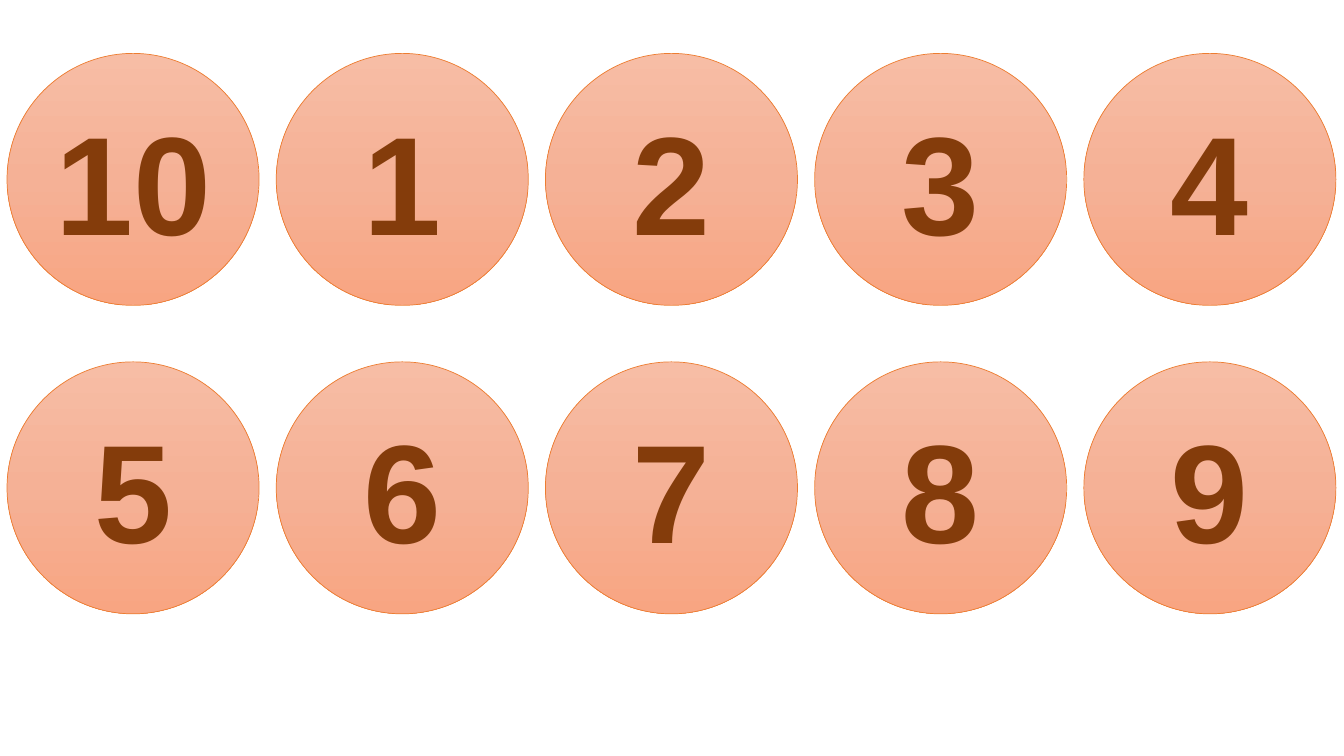
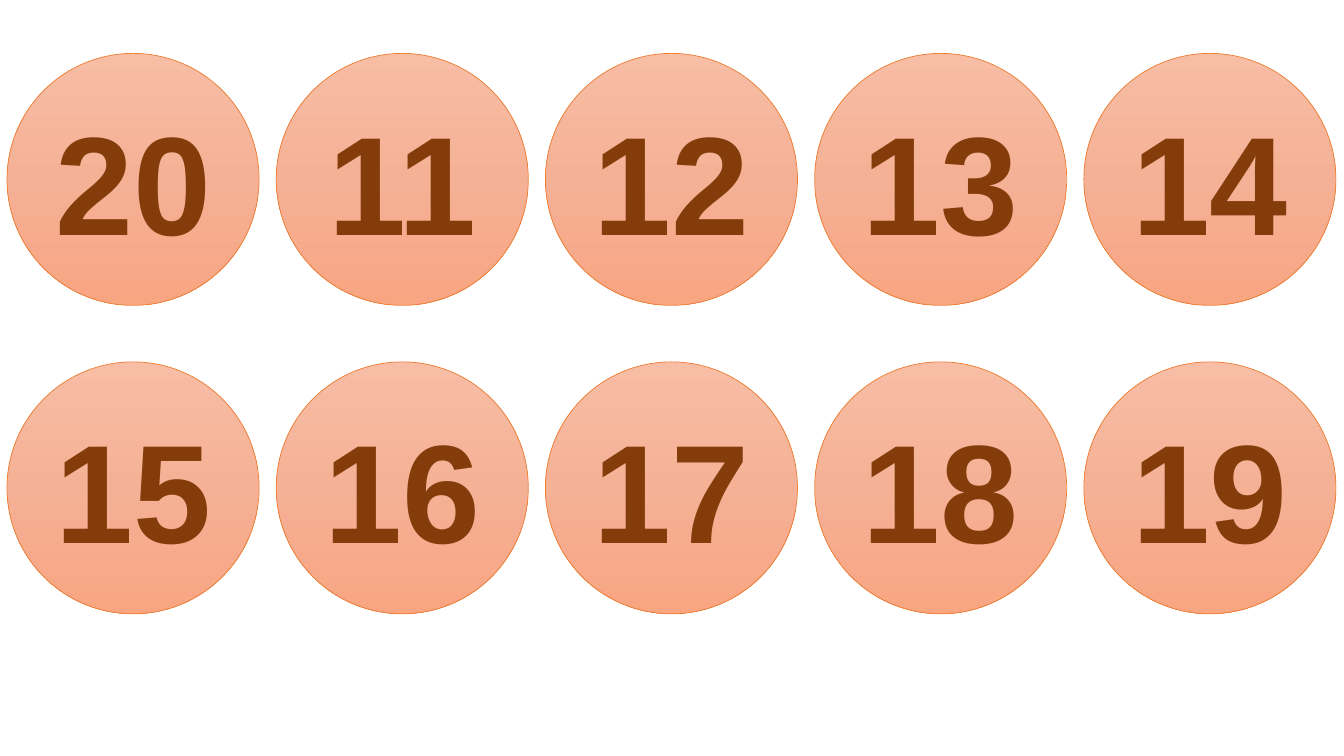
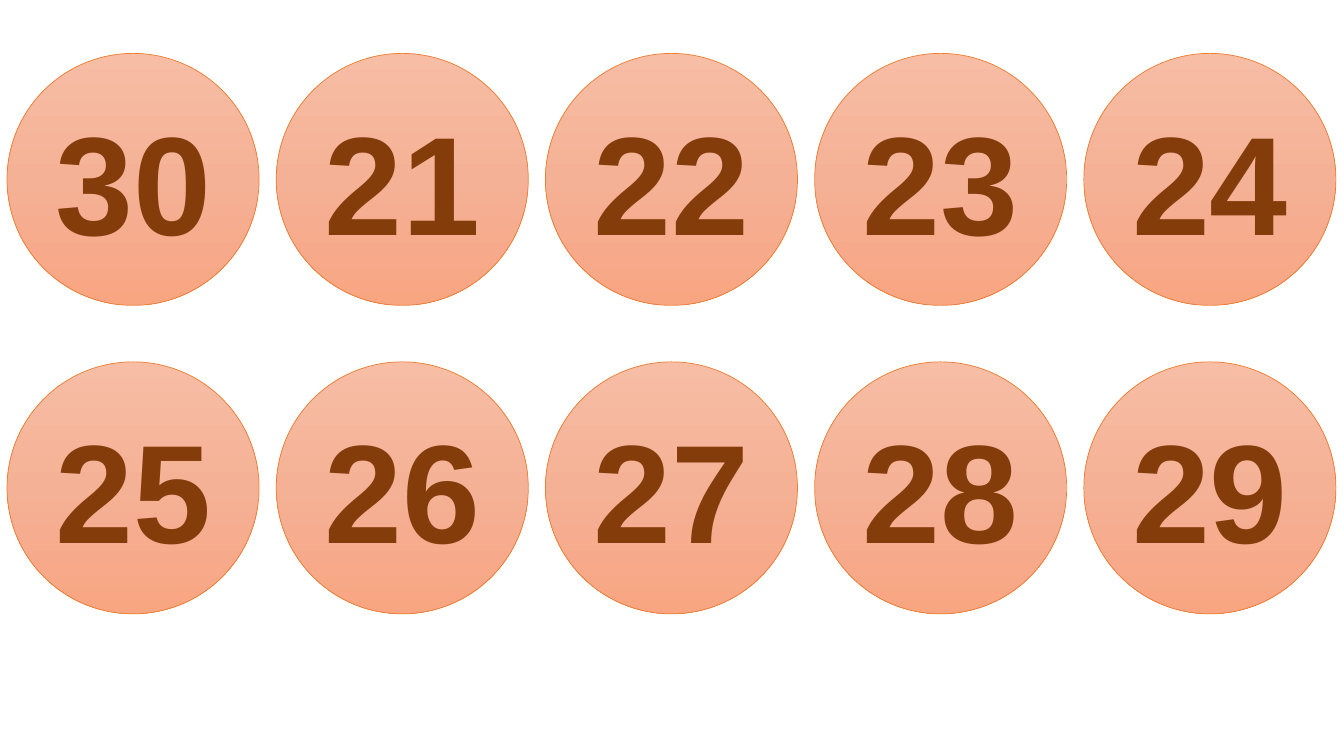
from copy import deepcopy
from dataclasses import dataclass

from pptx import Presentation
from pptx.dml.color import RGBColor
from pptx.enum.shapes import MSO_SHAPE
from pptx.enum.text import MSO_ANCHOR, PP_ALIGN
from pptx.util import Inches, Pt

COLUMNS = 5
LEFT, TOP = 0.07, 0.53
COLUMN_STEP, ROW_STEP = 2.67, 3.06
DIAMETER = 2.5
NUMBERS_PER_SLIDE = 10
SLIDE_COUNT = 3


@dataclass(frozen=True)
class Theme:
    """Colours, font and sizes shared by all slides."""
    background: str = "FFFFFF"
    gradient: tuple = ((0, "F7BDA5"), (0.5, "F5B196"), (1, "F8A582"))
    outline: str = "ED7D31"
    outline_width: float = 0.5
    number: str = "843C0B"
    number_size: int = 100
    font: str = "Arial"


def write_text(frame, text, *, font, size, color, bold=False,
               align=PP_ALIGN.CENTER, anchor=MSO_ANCHOR.MIDDLE):
    """Write one formatted paragraph into a text frame."""
    frame.word_wrap = True
    frame.vertical_anchor = anchor
    paragraph = frame.paragraphs[0]
    paragraph.alignment = align
    run = paragraph.add_run()
    run.text = text
    run.font.name = font
    run.font.size = Pt(size)
    run.font.bold = bold
    run.font.color.rgb = RGBColor.from_string(color)


def fill_gradient(shape, colors):
    """Fill a shape from top to bottom with (position, colour) stops."""
    shape.fill.gradient()
    shape.fill.gradient_angle = 270
    stop_list = shape.element.spPr.xpath("a:gradFill/a:gsLst")[0]
    while len(stop_list) < len(colors):
        stop_list.append(deepcopy(stop_list[0]))
    for stop, (position, color) in zip(shape.fill.gradient_stops, colors):
        stop.position = position
        stop.color.rgb = RGBColor.from_string(color)


class Deck:
    """Holds the presentation, its theme and the current slide."""

    def __init__(self, theme):
        """Start an empty widescreen presentation."""
        self.theme = theme
        self.presentation = Presentation()
        self.presentation.slide_width = Inches(13.33)
        self.presentation.slide_height = Inches(7.5)
        self.slide = None

    def new_slide(self):
        """Add a blank slide with the theme background."""
        blank = self.presentation.slide_layouts[6]
        self.slide = self.presentation.slides.add_slide(blank)
        background = self.slide.background.fill
        background.solid()
        background.fore_color.rgb = RGBColor.from_string(self.theme.background)

    def number_disc(self, number, left, top):
        """Draw a gradient disc with a number in its centre."""
        theme = self.theme
        disc = self.slide.shapes.add_shape(
            MSO_SHAPE.OVAL, Inches(left), Inches(top),
            Inches(DIAMETER), Inches(DIAMETER))
        disc.shadow.inherit = False
        fill_gradient(disc, theme.gradient)
        disc.line.color.rgb = RGBColor.from_string(theme.outline)
        disc.line.width = Pt(theme.outline_width)
        write_text(disc.text_frame, str(number), font=theme.font,
                   size=theme.number_size, color=theme.number, bold=True)

    def number_grid(self, numbers):
        """Place the numbers row by row in a grid of discs."""
        for index, number in enumerate(numbers):
            row, column = divmod(index, COLUMNS)
            self.number_disc(number, LEFT + column * COLUMN_STEP,
                             TOP + row * ROW_STEP)


def main():
    """Build one slide per ten numbers, each led by its round ten."""
    deck = Deck(Theme())
    for slide_index in range(SLIDE_COUNT):
        start = slide_index * NUMBERS_PER_SLIDE
        round_ten = start + NUMBERS_PER_SLIDE
        deck.new_slide()
        deck.number_grid([round_ten, *range(start + 1, round_ten)])
    deck.presentation.save("out.pptx")


main()
